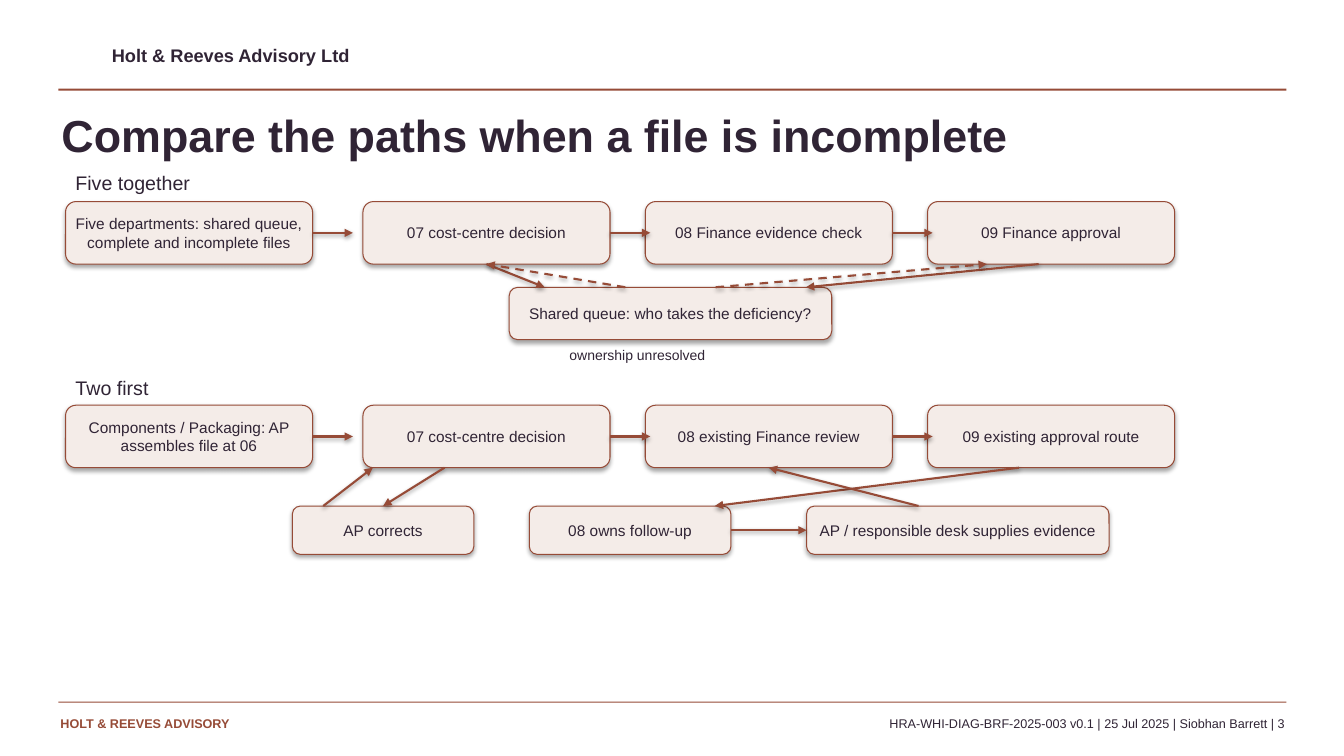
from pptx import Presentation
from pptx.dml.color import RGBColor
from pptx.enum.dml import MSO_LINE_DASH_STYLE as Dash
from pptx.enum.shapes import MSO_CONNECTOR as Link, MSO_SHAPE as Shape
from pptx.enum.text import MSO_ANCHOR as Anchor, MSO_AUTO_SIZE as Fit, PP_ALIGN as Align
from pptx.oxml.ns import qn
from pptx.util import Inches, Pt
from lxml.etree import SubElement

WIDTH, HEIGHT = 13.33, 7.5
RUST, PLUM, BLUSH = "964B37", "302435", "F4ECE8"
TOP, LEFT, BOTTOM, RIGHT = range(4)

TITLE = "Compare the paths when a file is incomplete"
COLUMNS = (0.65, 3.6, 6.4, 9.2)
STEP_WIDTH, STEP_HEIGHT, STEP_ARROW = 2.45, 0.62, 0.4

PATHS = [
    {
        "name": "Five together", "label_top": 1.65, "steps_top": 2,
        "steps": ["Five departments: shared queue, complete and incomplete files",
                  "07 cost-centre decision", "08 Finance evidence check", "09 Finance approval"],
        "detours_top": 2.85, "detour_height": 0.52,
        "detours": {"queue": ("Shared queue: who takes the deficiency?", 5.05, 3.2)},
        "links": [
            ((1, BOTTOM, 0.5), ("queue", TOP, 0.11), False),
            ((3, BOTTOM, 0.45), ("queue", TOP, 0.92), False),
            (("queue", TOP, 0.36), (1, BOTTOM, 0.5), True),
            (("queue", TOP, 0.64), (3, BOTTOM, 0.24), True),
        ],
    },
    {
        "name": "Two first", "label_top": 3.68, "steps_top": 4.02,
        "steps": ["Components / Packaging: AP assembles file at 06",
                  "07 cost-centre decision", "08 existing Finance review", "09 existing approval route"],
        "detours_top": 5.02, "detour_height": 0.48,
        "detours": {"corrects": ("AP corrects", 2.9, 1.8),
                    "follow-up": ("08 owns follow-up", 5.25, 2),
                    "evidence": ("AP / responsible desk supplies evidence", 8, 3)},
        "links": [
            ((1, BOTTOM, 0.33), ("corrects", TOP, 0.5), False),
            (("corrects", TOP, 0.17), (1, BOTTOM, 0.04), False),
            ((3, BOTTOM, 0.37), ("follow-up", TOP, 0.92), False),
            (("follow-up", RIGHT, 0.5), ("evidence", LEFT, 0.5), False),
            (("evidence", TOP, 0.37), (2, BOTTOM, 0.5), False),
        ],
    },
]

FLUSH = (0, 0, 0, 0)
PADDED = (0.1, 0.05, 0.1, 0.05)
LABELS = [
    ("Holt & Reeves Advisory Ltd", (1.11, 0.44, 6, 0.27), FLUSH, {"size": 13, "bold": True}),
    ("HOLT & REEVES ADVISORY", (0.6, 7.1, 3.4, 0.25), FLUSH, {"size": 9, "bold": True, "color": RUST}),
    ("HRA-WHI-DIAG-BRF-2025-003 v0.1 | 25 Jul 2025 | Siobhan Barrett | 3",
     (4.12, 7.1, 8.62, 0.2), FLUSH, {"size": 9, "align": Align.RIGHT}),
    ("ownership unresolved", (5.55, 3.39, 2.4, 0.3), PADDED, {"size": 10}),
] + [(path["name"], (COLUMNS[0], path["label_top"], 3, 0.3), PADDED, {"size": 14}) for path in PATHS]

RULES = [(0.58, 0.88, 12.18, 0.02), (0.58, 6.96, 12.18, 0.01)]


def rgb(hex_color):
    return RGBColor.from_string(hex_color)


def place(area):
    return [Inches(length) for length in area]


def write(holder, words, insets, size, bold=False, color=PLUM, align=Align.LEFT, anchor=Anchor.TOP):
    frame = holder.text_frame
    left, top, right, bottom = place(insets)
    frame_format = {"margin_left": left, "margin_top": top, "margin_right": right,
                    "margin_bottom": bottom, "word_wrap": True, "auto_size": Fit.NONE,
                    "vertical_anchor": anchor}
    for name, value in frame_format.items():
        setattr(frame, name, value)
    paragraph = frame.paragraphs[0]
    paragraph.alignment = align
    run = paragraph.add_run()
    run.text = words
    for name, value in {"name": "Arial", "size": Pt(size), "bold": bold}.items():
        setattr(run.font, name, value)
    run.font.color.rgb = rgb(color)


def add_box(slide, words, area):
    box = slide.shapes.add_shape(Shape.ROUNDED_RECTANGLE, *place(area))
    box.fill.solid()
    box.fill.fore_color.rgb = rgb(BLUSH)
    box.line.color.rgb = rgb(RUST)
    box.line.width = Pt(0.75)
    write(box, words, (0.05, 0.03, 0.05, 0.03), 11, align=Align.CENTER, anchor=Anchor.MIDDLE)
    return box


def point_on(box, side, share):
    if side in (TOP, BOTTOM):
        return box.left + int(box.width * share), box.top + (box.height if side == BOTTOM else 0)
    return box.left + (box.width if side == RIGHT else 0), box.top + int(box.height * share)


def add_arrow(slide, start, end, dashed=False):
    arrow = slide.shapes.add_connector(Link.STRAIGHT, *start, *end)
    arrow.line.color.rgb = rgb(RUST)
    arrow.line.width = Pt(1.5)
    if dashed:
        arrow.line.dash_style = Dash.DASH
    SubElement(arrow.line._get_or_add_ln(), qn("a:tailEnd"), type="triangle")
    return arrow


def add_path(slide, path):
    boxes = {}
    for column, words in enumerate(path["steps"]):
        boxes[column] = add_box(slide, words, (COLUMNS[column], path["steps_top"], STEP_WIDTH, STEP_HEIGHT))
    for column in range(len(COLUMNS) - 1):
        x, y = point_on(boxes[column], RIGHT, 0.5)
        arrow = add_arrow(slide, (x, y), (x + Inches(STEP_ARROW), y))
        arrow.begin_connect(boxes[column], RIGHT)
    for key, (words, left, width) in path["detours"].items():
        boxes[key] = add_box(slide, words, (left, path["detours_top"], width, path["detour_height"]))
    for (origin, out_side, out_share), (target, in_side, in_share), dashed in path["links"]:
        arrow = add_arrow(slide, point_on(boxes[origin], out_side, out_share),
                          point_on(boxes[target], in_side, in_share), dashed)
        if out_share == 0.5:
            arrow.begin_connect(boxes[origin], out_side)
        if in_share == 0.5:
            arrow.end_connect(boxes[target], in_side)


def main():
    deck = Presentation()
    deck.slide_width, deck.slide_height = place((WIDTH, HEIGHT))
    slide = deck.slides.add_slide(deck.slide_layouts[5])

    title = slide.shapes.title
    title.left, title.top, title.width, title.height = place((0.61, 1.07, 12, 0.78))
    write(title, TITLE, FLUSH, 32, bold=True)

    for area in RULES:
        rule = slide.shapes.add_shape(Shape.RECTANGLE, *place(area))
        rule.shadow.inherit = False
        rule.fill.solid()
        rule.fill.fore_color.rgb = rgb(RUST)
        rule.line.fill.background()

    for words, area, insets, style in LABELS:
        write(slide.shapes.add_textbox(*place(area)), words, insets, **style)

    for path in PATHS:
        add_path(slide, path)

    deck.save("out.pptx")


if __name__ == "__main__":
    main()
